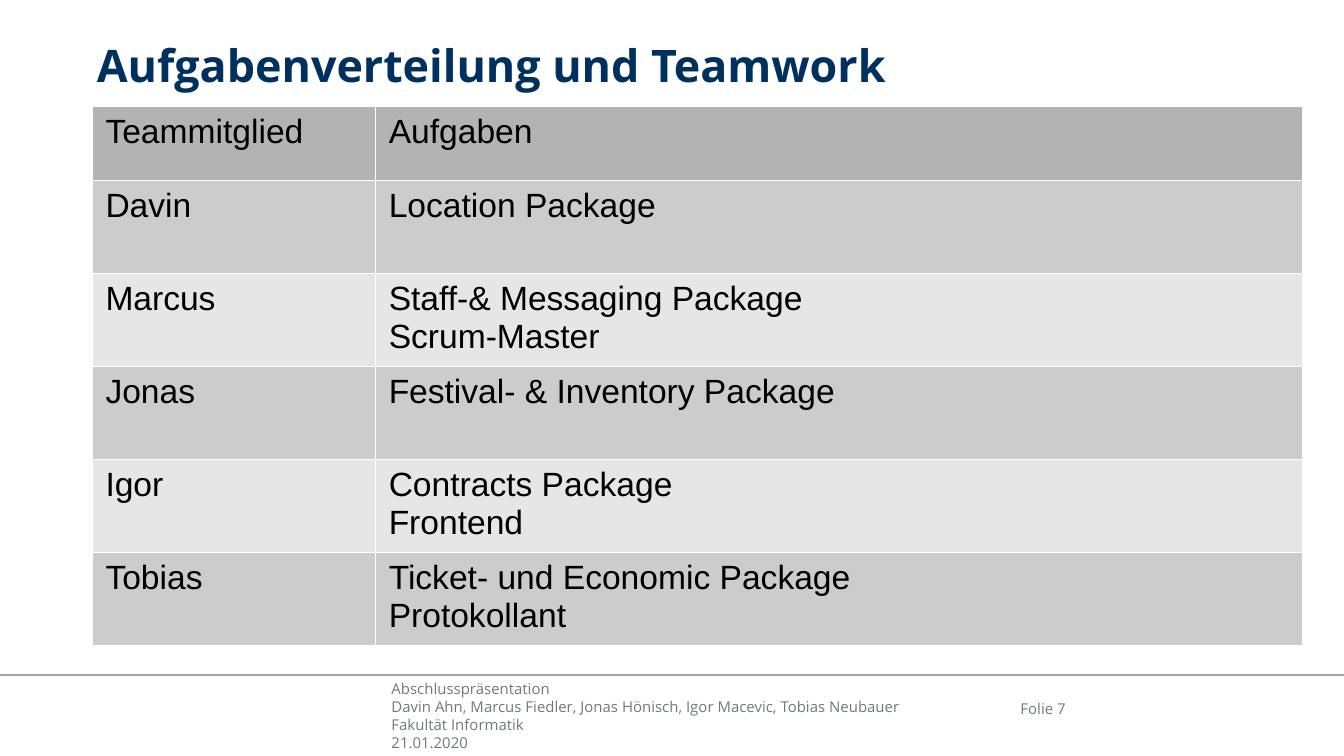
import pptx
import pptx.util
import pptx.dml.color
import pptx.enum.shapes
import pptx.enum.text
import pptx.oxml.ns
import lxml.etree

EMU_PER_PX = 2286  # 400 px to the inch
SLIDE_WIDTH, SLIDE_HEIGHT = 4000, 2250
ALIGN = pptx.enum.text.PP_ALIGN
ANCHOR = pptx.enum.text.MSO_ANCHOR

TITLE_FONT = {"name": "Open Sans", "size": pptx.util.Pt(24), "bold": True}
FOOTER_FONT = {"name": "Open Sans", "size": pptx.util.Pt(8), "bold": False}
TABLE_FONT = {"name": "Arial", "size": pptx.util.Pt(18), "bold": False}

FOOTER_LINES = [
    "Abschlusspräsentation",
    "Davin Ahn, Marcus Fiedler, Jonas Hönisch, Igor Macevic, Tobias Neubauer",
    "Fakultät Informatik",
    "21.01.2020",
]
TEAM_ROWS = [
    ("Teammitglied", ["Aufgaben"]),
    ("Davin", ["Location Package"]),
    ("Marcus", ["Staff-& Messaging Package", "Scrum-Master"]),
    ("Jonas", ["Festival- & Inventory Package"]),
    ("Igor", ["Contracts Package", "Frontend"]),
    ("Tobias", ["Ticket- und Economic Package", "Protokollant"]),
]
COLUMN_WIDTHS = [843, 2757]
HEADER_HEIGHT, ROW_HEIGHT = 220, 277
HEADER_FILL, BAND_FILLS = "B3B3B3", ["CCCCCC", "E6E6E6"]


def px(length):
    return pptx.util.Emu(length * EMU_PER_PX)


def color(hex_value):
    return pptx.dml.color.RGBColor.from_string(hex_value)


def set_attributes(target, values):
    for name, value in values.items():
        setattr(target, name, value)


def write_lines(text_frame, lines, font, font_color, align=ALIGN.LEFT):
    for index, line in enumerate(lines):
        paragraph = text_frame.add_paragraph() if index else text_frame.paragraphs[0]
        set_attributes(paragraph, {"alignment": align, "line_spacing": 1.0,
                                   "space_before": 0, "space_after": 0})
        run = paragraph.add_run()
        run.text = line
        set_attributes(run.font, font)
        run.font.color.rgb = color(font_color)


def format_frame(text_frame, anchor):
    set_attributes(text_frame, {
        "word_wrap": True, "vertical_anchor": anchor,
        "auto_size": pptx.enum.text.MSO_AUTO_SIZE.NONE,
        "margin_left": 0, "margin_right": 0, "margin_top": 0, "margin_bottom": 0})


def set_title(slide, text, left, top, width, height):
    title = slide.shapes.title
    set_attributes(title, {"left": px(left), "top": px(top),
                           "width": px(width), "height": px(height)})
    format_frame(title.text_frame, ANCHOR.TOP)
    write_lines(title.text_frame, [text], TITLE_FONT, "00305E")


def add_footer_text(slide, lines, left, top, width, height, align=ALIGN.LEFT):
    box = slide.shapes.add_textbox(px(left), px(top), px(width), px(height))
    format_frame(box.text_frame, ANCHOR.BOTTOM)
    write_lines(box.text_frame, lines, FOOTER_FONT, "727879", align)


def add_rule(slide, top):
    rule = slide.shapes.add_connector(
        pptx.enum.shapes.MSO_CONNECTOR.STRAIGHT,
        px(0), px(top), px(SLIDE_WIDTH), px(top))
    rule.line.color.rgb = color("A6A6A6")
    rule.line.width = pptx.util.Pt(1)
    lxml.etree.SubElement(rule._element.spPr, pptx.oxml.ns.qn("a:effectLst"))


def set_borders(cell, hex_value, width):
    qn = pptx.oxml.ns.qn
    properties = cell._tc.get_or_add_tcPr()
    for index, side in enumerate(["a:lnL", "a:lnR", "a:lnT", "a:lnB"]):
        border = lxml.etree.Element(qn(side), w=str(pptx.util.Pt(width)))
        fill = lxml.etree.SubElement(border, qn("a:solidFill"))
        lxml.etree.SubElement(fill, qn("a:srgbClr"), val=hex_value)
        properties.insert(index, border)  # borders come before the fill


def add_team_table(slide, left, top):
    heights = [HEADER_HEIGHT] + [ROW_HEIGHT] * (len(TEAM_ROWS) - 1)
    table = slide.shapes.add_table(
        len(heights), len(COLUMN_WIDTHS), px(left), px(top),
        px(sum(COLUMN_WIDTHS)), px(sum(heights))).table
    for column, width in zip(table.columns, COLUMN_WIDTHS):
        column.width = px(width)
    for index, (member, tasks) in enumerate(TEAM_ROWS):
        table.rows[index].height = px(heights[index])
        fill = BAND_FILLS[(index - 1) % 2] if index else HEADER_FILL
        for cell, lines in zip(table.rows[index].cells, [[member], tasks]):
            cell.fill.solid()
            cell.fill.fore_color.rgb = color(fill)
            set_borders(cell, "FFFFFF", 0.06)
            write_lines(cell.text_frame, lines, TABLE_FONT, "000000")


def main():
    presentation = pptx.Presentation()
    set_attributes(presentation, {"slide_width": px(SLIDE_WIDTH),
                                  "slide_height": px(SLIDE_HEIGHT)})
    slide = presentation.slides.add_slide(presentation.slide_layouts[5])

    # Footer
    add_footer_text(slide, FOOTER_LINES, 1165, 2024, 1700, 212)
    add_rule(slide, 2008)
    add_footer_text(slide, ["Folie 7"], 2940, 1912, 232, 224, ALIGN.RIGHT)

    # Title and team table
    set_title(slide, "Aufgabenverteilung und Teamwork", 288, 112, 3472, 224)
    add_team_table(slide, 274, 317)

    presentation.save("out.pptx")


if __name__ == "__main__":
    main()
